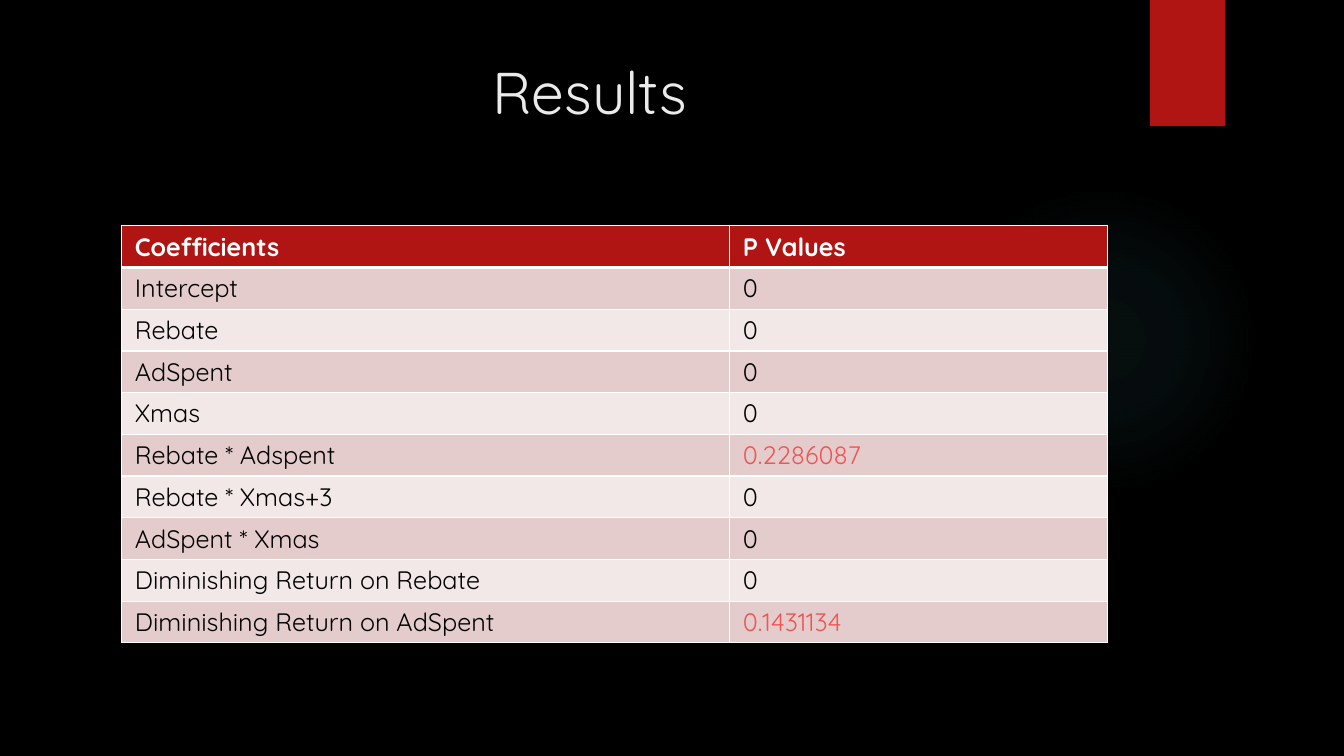
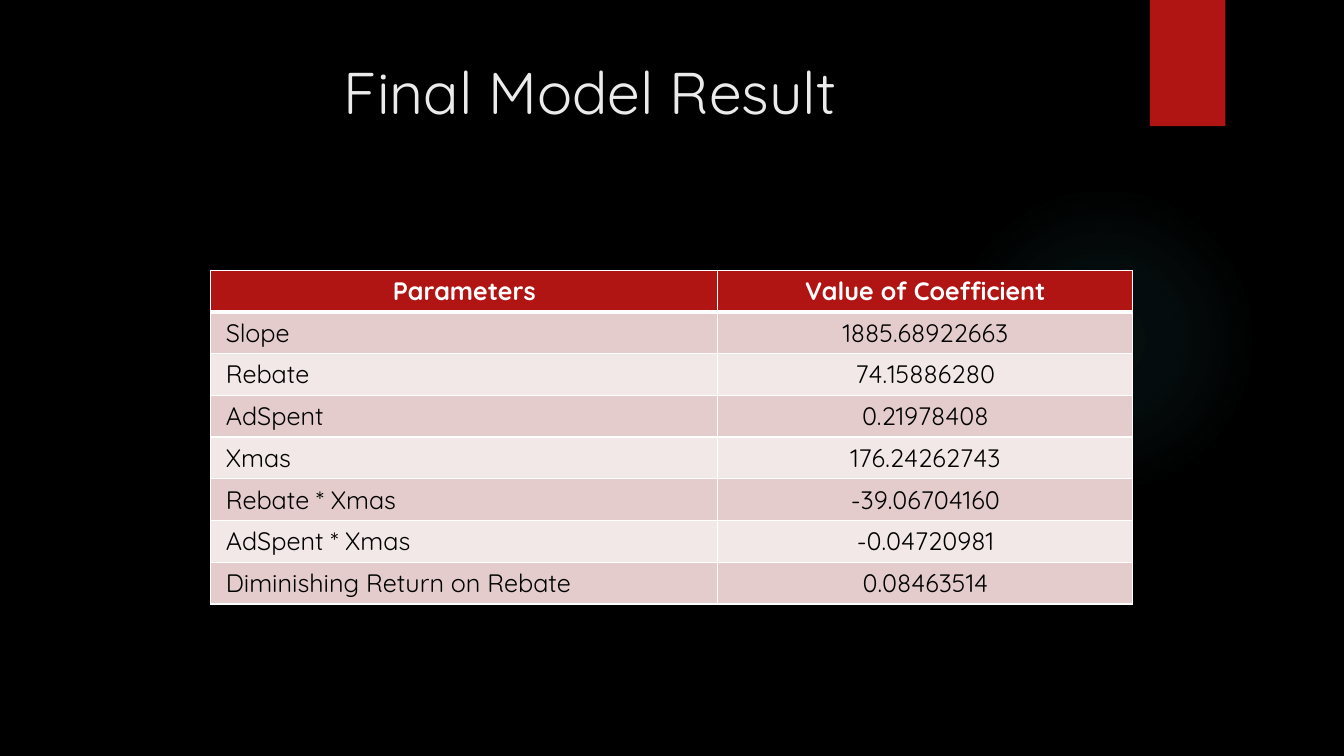
import lxml.etree
import pptx
import pptx.dml.color
import pptx.enum.shapes
import pptx.enum.text
import pptx.oxml
import pptx.oxml.ns
import pptx.util

Cm = pptx.util.Cm
Pt = pptx.util.Pt
ALIGN = pptx.enum.text.PP_ALIGN
SHAPE = pptx.enum.shapes.MSO_SHAPE

# Shared style
FONT = "Quicksand"
BLACK, WHITE, TITLE_COLOUR = "000000", "FFFFFF", "EBEBEB"
RED, ALERT, GLOW = "B01513", "ED5654", "50B9C1"
BANDS = ("E4CCCC", "F2E8E7")
ROW_HEIGHT = 1.03
TITLE_BOX = (1.8, 1.27, 26.14, 3.89)
GLOW_BOX = (23.9, 4.65, 7.82, 7.82)
TAB_BOX = (28.98, 0, 1.9, 3.18)
GLOW_STOPS = ((0, 7), (36, 6), (69, 0))

P_VALUES = [
    ("Coefficients", "P Values"),
    ("Intercept", "0"),
    ("Rebate", "0"),
    ("AdSpent", "0"),
    ("Xmas", "0"),
    ("Rebate * Adspent", "0.2286087"),
    ("Rebate * Xmas+3", "0"),
    ("AdSpent * Xmas", "0"),
    ("Diminishing Return on Rebate", "0"),
    ("Diminishing Return on AdSpent", "0.1431134"),
]
MODEL_VALUES = [
    ("Parameters", "Value of Coefficient"),
    ("Slope", "1885.68922663"),
    ("Rebate", "74.15886280"),
    ("AdSpent", "0.21978408"),
    ("Xmas", "176.24262743"),
    ("Rebate * Xmas", "-39.06704160"),
    ("AdSpent * Xmas", "-0.04720981"),
    ("Diminishing Return on Rebate", "0.08463514"),
]


def rgb(colour):
    return pptx.dml.color.RGBColor.from_string(colour)


def format_text(paragraph, size, colour, bold=False, align=ALIGN.LEFT):
    paragraph.alignment = align
    for run in paragraph.runs:
        run.font.name = FONT
        run.font.size = Pt(size)
        run.font.bold = bold
        run.font.color.rgb = rgb(colour)


def add_plain_shape(slide, kind, box, colour):
    shape = slide.shapes.add_shape(kind, *map(Cm, box))
    shape.shadow.inherit = False
    shape.fill.solid()
    shape.fill.fore_color.rgb = rgb(colour)
    shape.line.fill.background()
    return shape


def set_glow(shape, colour):
    """Replace the solid fill by a transparent radial gradient."""
    stops = "".join(
        f'<a:gs pos="{position * 1000}"><a:srgbClr val="{colour}">'
        f'<a:alpha val="{opacity * 1000}"/></a:srgbClr></a:gs>'
        for position, opacity in GLOW_STOPS)
    gradient = pptx.oxml.parse_xml(
        f'<a:gradFill {pptx.oxml.ns.nsdecls("a")} rotWithShape="1">'
        f'<a:gsLst>{stops}</a:gsLst><a:path path="circle">'
        '<a:fillToRect l="50000" t="50000" r="50000" b="50000"/>'
        '</a:path></a:gradFill>')
    properties = shape.element.spPr
    solid = properties.find(pptx.oxml.ns.qn("a:solidFill"))
    properties.replace(solid, gradient)


def add_title_slide(presentation, title):
    """Slide with the shared decoration and the title."""
    slide = presentation.slides.add_slide(presentation.slide_layouts[5])
    set_glow(add_plain_shape(slide, SHAPE.OVAL, GLOW_BOX, GLOW), GLOW)
    add_plain_shape(slide, SHAPE.RECTANGLE, TAB_BOX, RED)

    shape = slide.shapes.title
    shape.left, shape.top, shape.width, shape.height = map(Cm, TITLE_BOX)
    frame = shape.text_frame
    frame.text = title
    frame.word_wrap = True
    frame.auto_size = pptx.enum.text.MSO_AUTO_SIZE.NONE
    frame.vertical_anchor = pptx.enum.text.MSO_ANCHOR.TOP
    format_text(frame.paragraphs[0], 42, TITLE_COLOUR, align=ALIGN.CENTER)
    return slide


def set_borders(cell, top, bottom):
    """White cell borders; widths in points."""
    properties = cell._tc.get_or_add_tcPr()
    widths = {"lnL": 1, "lnR": 1, "lnT": top, "lnB": bottom}
    for index, (side, width) in enumerate(widths.items()):
        line = lxml.etree.Element(pptx.oxml.ns.qn(f"a:{side}"), w=str(Pt(width)))
        fill = lxml.etree.SubElement(line, pptx.oxml.ns.qn("a:solidFill"))
        lxml.etree.SubElement(fill, pptx.oxml.ns.qn("a:srgbClr"), val=WHITE)
        properties.insert(index, line)


def add_value_table(slide, left, top, widths, rows, margins,
                    header_align, value_align, alerts=()):
    """Two-column table with a red header and banded rows."""
    frame = slide.shapes.add_table(
        len(rows), len(widths), Cm(left), Cm(top),
        Cm(sum(widths)), Cm(ROW_HEIGHT * len(rows)))
    table = frame.table
    for column, width in zip(table.columns, widths):
        column.width = Cm(width)
    for row_index, texts in enumerate(rows):
        header = row_index == 0
        table.rows[row_index].height = Cm(ROW_HEIGHT)
        for column_index, text in enumerate(texts):
            cell = table.cell(row_index, column_index)
            cell.text_frame.text = text
            cell.margin_left = cell.margin_right = Cm(margins[column_index])
            cell.fill.solid()
            cell.fill.fore_color.rgb = rgb(
                RED if header else BANDS[(row_index - 1) % 2])
            set_borders(cell, 3 if row_index == 1 else 1, 3 if header else 1)
            colour = WHITE if header else ALERT if text in alerts else BLACK
            body_align = value_align if column_index else ALIGN.LEFT
            format_text(cell.text_frame.paragraphs[0], 18, colour, header,
                        header_align if header else body_align)


def main():
    presentation = pptx.Presentation()
    presentation.slide_width = Cm(33.87)
    presentation.slide_height = Cm(19.05)
    background = presentation.slide_master.background.fill
    background.solid()
    background.fore_color.rgb = rgb(BLACK)

    # P values of all coefficients
    slide = add_title_slide(presentation, "Results")
    add_value_table(slide, 3.07, 5.69, (15.32, 9.53), P_VALUES, (0.33, 0.33),
                    ALIGN.LEFT, ALIGN.LEFT, alerts=("0.2286087", "0.1431134"))

    # Coefficients of the final model
    slide = add_title_slide(presentation, "Final Model Result")
    add_value_table(slide, 5.31, 6.81, (12.78, 10.46), MODEL_VALUES,
                    (0.38, 0.25), ALIGN.CENTER, ALIGN.CENTER)

    presentation.save("out.pptx")


if __name__ == "__main__":
    main()
